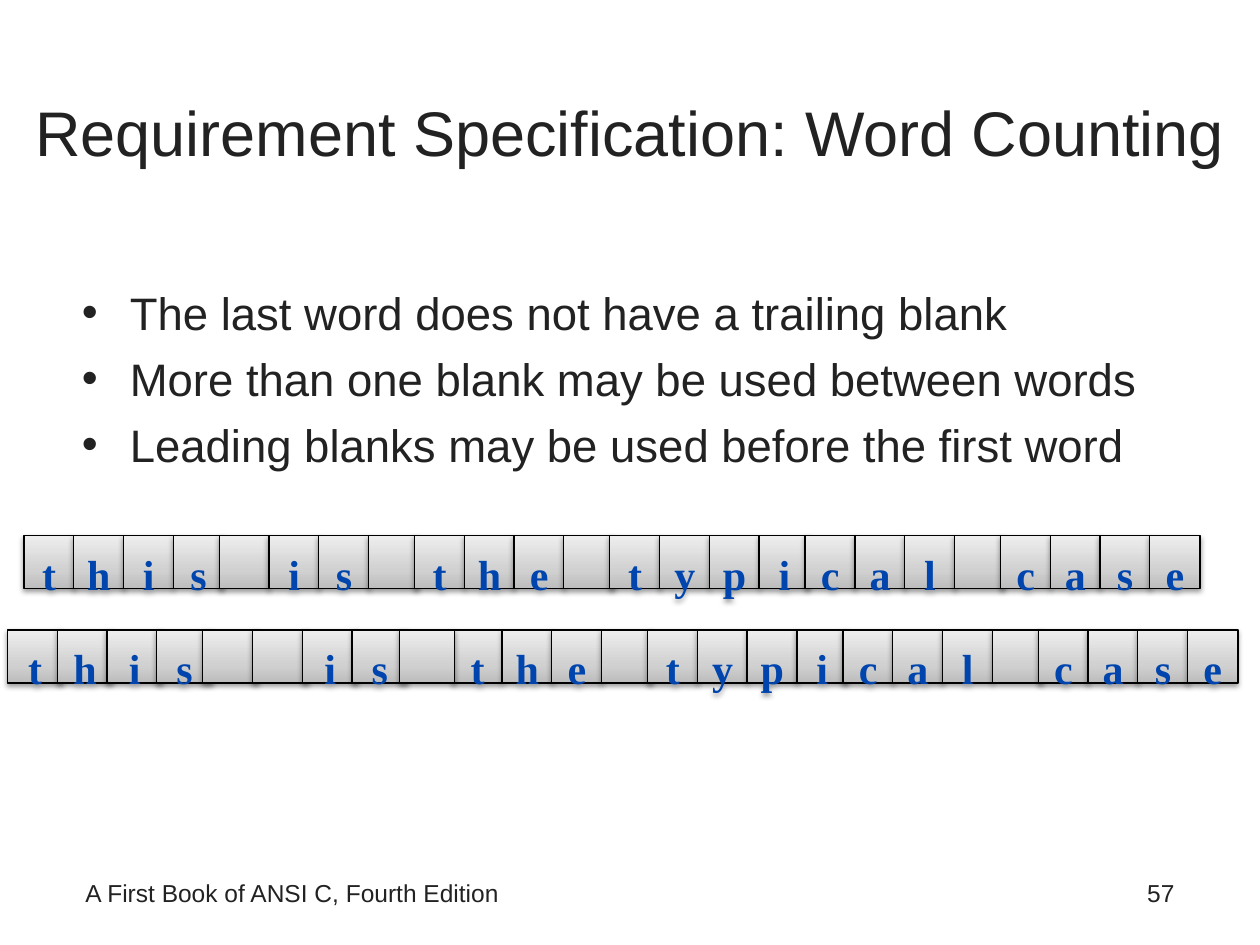
"""Build the word counting slide with its two strips of letter cells."""
from copy import deepcopy

from lxml import etree
from pptx import Presentation
from pptx.dml.color import RGBColor
from pptx.enum import shapes, text
from pptx.oxml import ns
from pptx.util import Inches, Pt

INK = RGBColor(0x22, 0x22, 0x22)
LETTER_BLUE = RGBColor(0x00, 0x45, 0xAD)
BLACK = RGBColor(0x00, 0x00, 0x00)
CELL_STOPS = [
    (0, RGBColor(0xBD, 0xBD, 0xBD)),
    (0.35, RGBColor(0xD1, 0xD1, 0xD1)),
    (1, RGBColor(0xEE, 0xEE, 0xEE)),
]
LETTER_PITCH = 0.395
BLOCK_PITCH = 1.55
CELL_HEIGHT = 0.42


class SlideBuilder:
    def __init__(self, page):
        self.page = page
        self.body_font = "Arial"
        self.cell_font = "Times New Roman"

    def place(self, shape, left, top, width, height):
        shape.left, shape.top = Inches(left), Inches(top)
        shape.width, shape.height = Inches(width), Inches(height)

    def style(self, para, size, name, color, bold=False):
        para.font.size = Pt(size)
        para.font.name = name
        para.font.color.rgb = color
        para.font.bold = bold

    def title(self, wording, *bounds):
        box = self.page.shapes.title
        self.place(box, *bounds)
        frame = box.text_frame
        frame.text = wording
        frame.auto_size = text.MSO_AUTO_SIZE.NONE
        frame.vertical_anchor = text.MSO_ANCHOR.MIDDLE
        para = frame.paragraphs[0]
        para.alignment = text.PP_ALIGN.CENTER
        self.style(para, 36, self.body_font, INK)

    def bullets(self, items, *bounds):
        box = self.page.placeholders[1]
        self.place(box, *bounds)
        frame = box.text_frame
        frame.text = "\n".join(items)
        frame.auto_size = text.MSO_AUTO_SIZE.NONE
        frame.margin_top = Inches(0.59)
        for index, para in enumerate(frame.paragraphs):
            props = para._p.get_or_add_pPr()
            props.set("marL", str(Inches(0.38)))
            props.set("indent", str(-Inches(0.38)))
            para.space_before = Pt(6.5 if index else 0)
            bullet = etree.SubElement(props, ns.qn("a:buChar"))
            bullet.set("char", "•")
            self.style(para, 26, self.body_font, INK)

    def label(self, wording, align, *bounds):
        box = self.page.shapes.add_textbox(*map(Inches, bounds))
        box.text_frame.word_wrap = True
        para = box.text_frame.paragraphs[0]
        para.text = wording
        para.alignment = align
        self.style(para, 14, self.body_font, INK)

    def cell(self, parent, letter, left, top, width):
        box = parent.add_shape(
            shapes.MSO_SHAPE.RECTANGLE,
            Inches(left), Inches(top), Inches(width), Inches(CELL_HEIGHT),
        )
        self.shade(box)
        box.line.color.rgb = BLACK
        box.line.width = Pt(0.75)
        self.cast_shadow(box)
        frame = box.text_frame
        frame.vertical_anchor = text.MSO_ANCHOR.TOP
        frame.margin_left = frame.margin_right = frame.margin_bottom = 0
        frame.margin_top = Inches(0.1)
        if letter != " ":
            para = frame.paragraphs[0]
            para.text = letter
            para.alignment = text.PP_ALIGN.CENTER
            self.style(para, 24, self.cell_font, LETTER_BLUE, bold=True)

    def shade(self, box):
        box.fill.gradient()
        box.fill.gradient_angle = 90
        stop_list = box._element.spPr.find(".//" + ns.qn("a:gsLst"))
        stop_list.append(deepcopy(stop_list[0]))
        for stop, (position, color) in zip(box.fill.gradient_stops, CELL_STOPS):
            stop.position = position
            stop.color.rgb = color

    def cast_shadow(self, box):
        box.shadow.inherit = False
        effects = box._element.spPr.find(ns.qn("a:effectLst"))
        outer = etree.SubElement(
            effects, ns.qn("a:outerShdw"),
            blurRad=str(Pt(3.1)), dist=str(Pt(1.6)), dir="5400000", rotWithShape="0",
        )
        color = etree.SubElement(outer, ns.qn("a:srgbClr"), val=str(BLACK))
        etree.SubElement(color, ns.qn("a:alpha"), val="38000")

    def strip(self, parent, blocks, left, top, width):
        for block_index, block in enumerate(blocks):
            start = left + block_index * BLOCK_PITCH
            for index, letter in enumerate(block):
                self.cell(parent, letter, start + index * LETTER_PITCH, top, width)


def main():
    deck = Presentation()
    deck.slide_width, deck.slide_height = Inches(10), Inches(7.5)
    page = deck.slides.add_slide(deck.slide_layouts[1])
    builder = SlideBuilder(page)

    builder.label("A First Book of ANSI C, Fourth Edition", text.PP_ALIGN.LEFT,
                  0.58, 6.92, 6.42, 0.42)
    builder.label("57", text.PP_ALIGN.RIGHT, 7.17, 6.92, 2.25, 0.42)
    builder.title("Requirement Specification: Word Counting", 0, 0.42, 10, 1.25)
    builder.bullets([
        "The last word does not have a trailing blank",
        "More than one blank may be used between words",
        "Leading blanks may be used before the first word",
    ], 0.55, 1.67, 8.83, 2.83)

    ending = ["the ", "typi", "cal ", "case"]
    builder.strip(page.shapes, ["this", " is ", *ending], 0.19, 4.25, 0.4)
    spaced_row = page.shapes.add_group_shape().shapes
    builder.strip(spaced_row, ["this", "  is"], 0.06, 5, 0.44)
    builder.strip(spaced_row, ending, 3.59, 5, 0.4)
    builder.strip(spaced_row, [" "], 3.17, 5, 0.44)

    deck.save("out.pptx")


if __name__ == "__main__":
    main()
